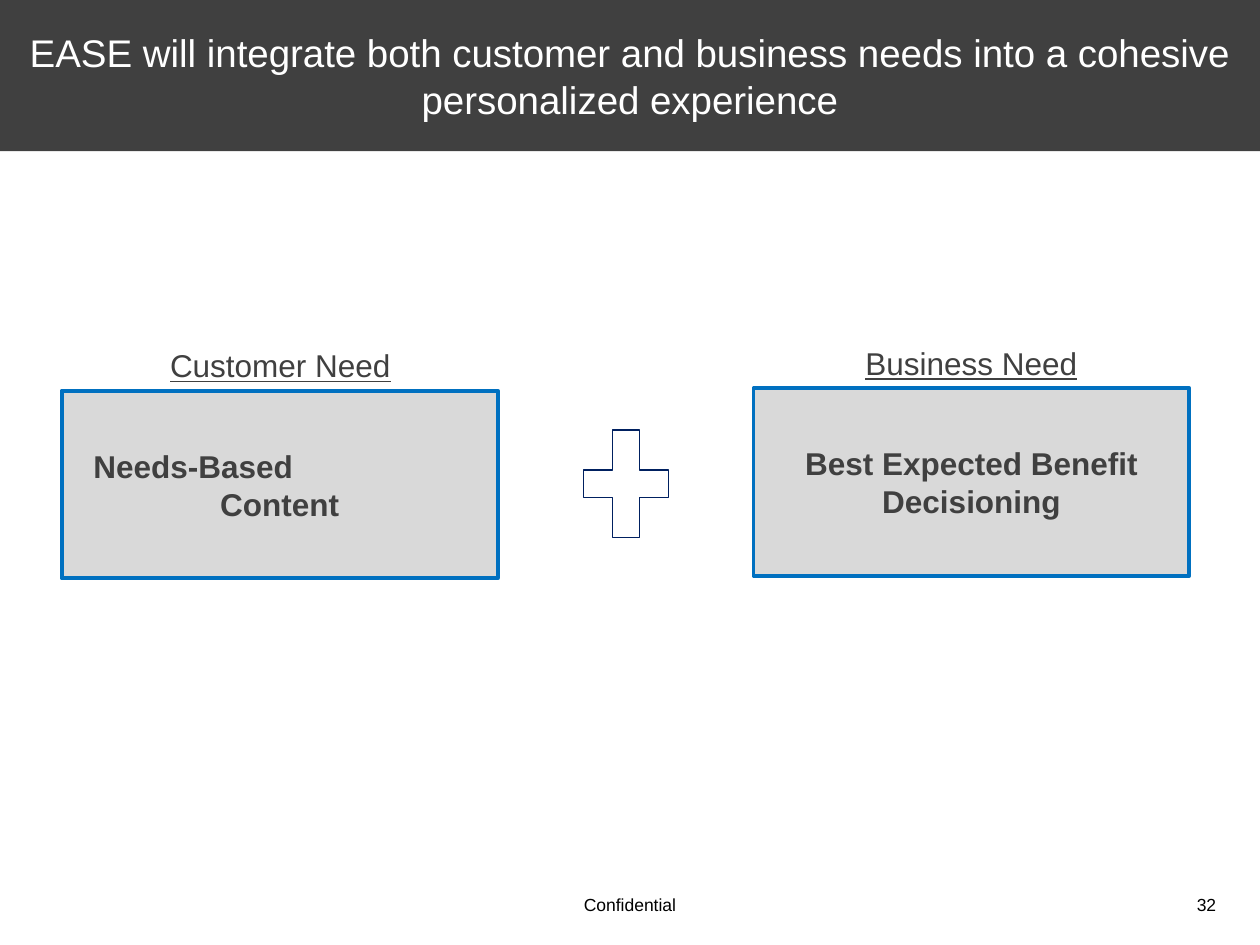
"""Build a slide that joins customer and business needs."""
from pptx import Presentation
from pptx.dml.color import RGBColor
from pptx.enum.shapes import MSO_SHAPE
from pptx.enum.text import MSO_ANCHOR, PP_ALIGN
from pptx.util import Pt

RECT, PLUS = MSO_SHAPE.RECTANGLE, MSO_SHAPE.MATH_PLUS
LEFT, MID, RIGHT = PP_ALIGN.LEFT, PP_ALIGN.CENTER, PP_ALIGN.RIGHT
TOP, CORE = MSO_ANCHOR.TOP, MSO_ANCHOR.MIDDLE

THEME = {
    "font": "Arial",
    "dark": RGBColor(0x40, 0x40, 0x40),
    "pale": RGBColor(0xD9, 0xD9, 0xD9),
    "blue": RGBColor(0x00, 0x70, 0xC0),
    "navy": RGBColor(0x00, 0x20, 0x60),
    "white": RGBColor(0xFF, 0xFF, 0xFF),
    "black": RGBColor(0x00, 0x00, 0x00),
    "title": Pt(22),
    "body": Pt(18),
    "small": Pt(10),
}


def draw(kind, area, fill, line=None, width=0):
    shape = slide.shapes.add_shape(kind, *map(Pt, area))
    shape.shadow.inherit = False
    shape.fill.solid()
    shape.fill.fore_color.rgb = THEME[fill]
    if line:
        shape.line.color.rgb = THEME[line]
        shape.line.width = Pt(width)
    else:
        shape.line.fill.background()
    return shape


def write(shape, rows, size, color, anchor=TOP, wrap=True, space=1, **style):
    frame = shape.text_frame
    frame.word_wrap = wrap
    frame.vertical_anchor = anchor
    look = {"name": THEME["font"], "size": THEME[size], **style}
    for i, (text, align, indent) in enumerate(rows):
        para = frame.add_paragraph() if i else frame.paragraphs[0]
        para.alignment = align
        para.line_spacing = space
        if indent:
            para._p.get_or_add_pPr().set("marL", str(Pt(indent)))
        run = para.add_run()
        run.text = text
        for key, value in look.items():
            setattr(run.font, key, value)
        run.font.color.rgb = THEME[color]


deck = Presentation()
deck.slide_width, deck.slide_height = Pt(720), Pt(540)
slide = deck.slides.add_slide(deck.slide_layouts[6])

for text, align, left, width in (
    ("32", RIGHT, 669.6, 32.4),
    ("Confidential", MID, 144, 432),
):
    box = slide.shapes.add_textbox(Pt(left), Pt(507.6), Pt(width), Pt(19.4))
    write(box, [(text, align, 0)], "small", "black")

needs = (
    ("Customer Need", 35.3, 223.2, 89.3, 141.8,
     [("Needs-Based", LEFT, 11), ("Content", MID, 0)]),
    ("Business Need", 430.6, 221.8, 486.7, 136.8,
     [("Best Expected Benefit Decisioning", MID, 0)]),
)
for label, left, top, start, width, rows in needs:
    card = draw(RECT, (left, top, 249.1, 107.3), "pale", "blue", 2.25)
    write(card, rows, "body", "dark", CORE, bold=True)
    head = slide.shapes.add_textbox(Pt(start), Pt(top - 33.1), Pt(width), Pt(31))
    write(head, [(label, MID, 0)], "body", "dark", wrap=False, space=1.2,
          underline=True)

draw(PLUS, (324.7, 234.7, 66.2, 83.5), "white", "navy", 0.75)

band = draw(RECT, (0, 0, 720, 86.4), "dark")
inset = {"margin_left": 10.8, "margin_right": 10.8,
         "margin_top": 7.2, "margin_bottom": 7.2}
for key, value in inset.items():
    setattr(band.text_frame, key, Pt(value))
title = ("EASE will integrate both customer and business needs "
         "into a cohesive personalized experience")
write(band, [(title, MID, 0)], "title", "white", CORE)

deck.save("out.pptx")
